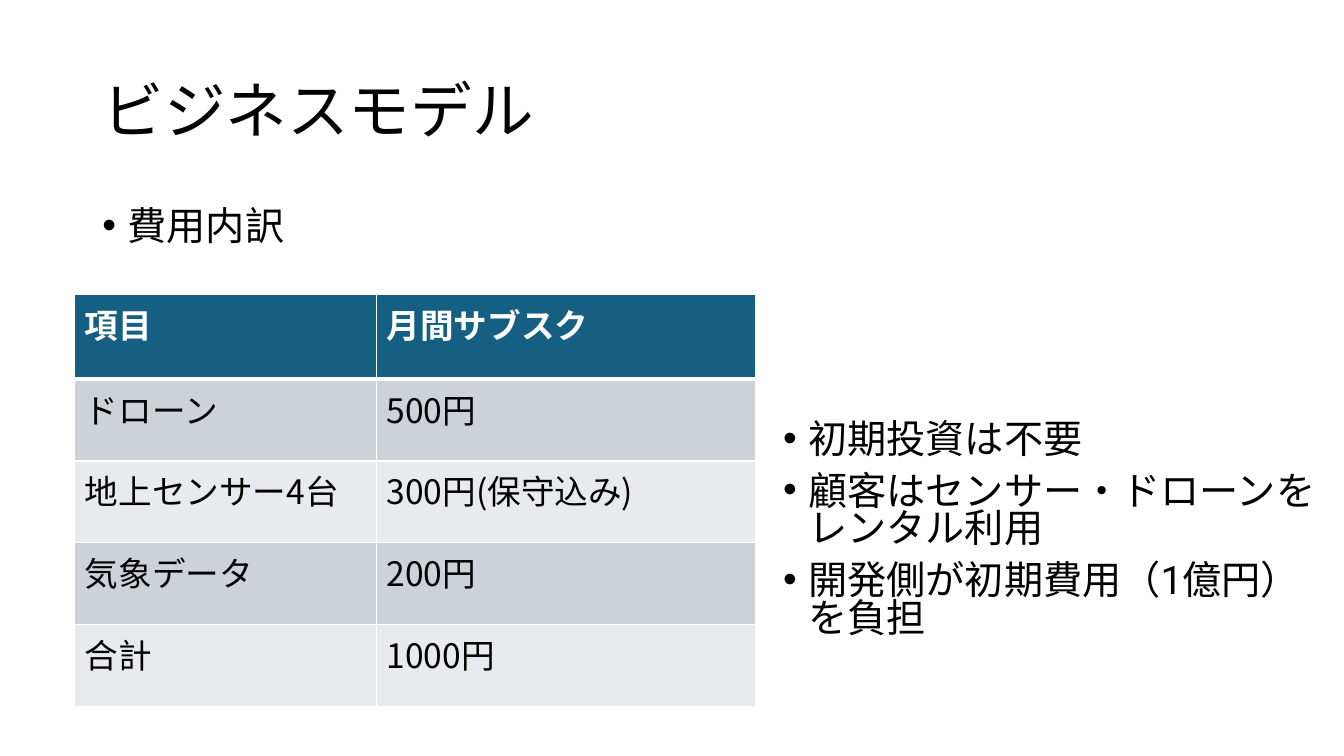
from dataclasses import dataclass

from lxml import etree
from pptx import Presentation
from pptx.dml import color
from pptx.enum import text
from pptx.oxml import ns
from pptx.util import Pt


@dataclass(frozen=True)
class Theme:
    body_font: str = "Roboto"
    table_font: str = "Noto Sans CJK JP"
    ink: str = "000000"
    white: str = "FFFFFF"
    header: str = "156082"
    bands: tuple = ("CCD2D8", "E8EAED")
    title_size: int = 44
    list_size: int = 28
    table_size: int = 24


THEME = Theme()
COST_ROWS = [
    ("項目", "月間サブスク"),
    ("ドローン", "500円"),
    ("地上センサー4台", "300円(保守込み)"),
    ("気象データ", "200円"),
    ("合計", "1000円"),
]
BENEFITS = [
    "初期投資は不要",
    "顧客はセンサー・ドローンをレンタル利用",
    "開発側が初期費用（1億円）を負担",
]


def rgb(value):
    return color.RGBColor.from_string(value)


def add_span(para, words, font, size, ink, bold=False):
    span = para.add_run()
    span.text = words
    span.font.name = font
    span.font.size = Pt(size)
    span.font.bold = bold
    span.font.color.rgb = rgb(ink)
    # East Asian glyphs use the CJK face
    east_asian = etree.SubElement(span.font._element, ns.qn("a:ea"))
    east_asian.set("typeface", THEME.table_font)


def place(box, left, top, width, height, anchor):
    box.left, box.top, box.width, box.height = map(Pt, (left, top, width, height))
    frame = box.text_frame
    frame.auto_size = text.MSO_AUTO_SIZE.NONE
    frame.word_wrap = True
    frame.vertical_anchor = anchor
    return frame


def fill_title(box, words, bounds):
    frame = place(box, *bounds, text.MSO_ANCHOR.MIDDLE)
    para = frame.paragraphs[0]
    para.alignment = text.PP_ALIGN.LEFT
    para.line_spacing = 0.9
    add_span(para, words, THEME.body_font, THEME.title_size, THEME.ink)


def set_bullet(para):
    props = para._p.get_or_add_pPr()
    props.set("marL", str(Pt(18)))
    props.set("indent", str(-Pt(18)))
    etree.SubElement(props, ns.qn("a:buFont")).set("typeface", "Arial")
    etree.SubElement(props, ns.qn("a:buChar")).set("char", "•")


def fill_list(box, items, bounds, line_spacing):
    frame = place(box, *bounds, text.MSO_ANCHOR.TOP)
    for index, item in enumerate(items):
        para = frame.add_paragraph() if index else frame.paragraphs[0]
        para.line_spacing = line_spacing
        para.space_before = Pt(10)
        para.space_after = Pt(0)
        set_bullet(para)
        add_span(para, item, THEME.body_font, THEME.list_size, THEME.ink)


def set_borders(cell, top, bottom):
    props = cell._tc.get_or_add_tcPr()
    widths = {"lnL": 1, "lnR": 1, "lnT": top, "lnB": bottom}
    for index, (side, width) in enumerate(widths.items()):
        line = etree.Element(ns.qn(f"a:{side}"), w=str(Pt(width)))
        fill = etree.SubElement(line, ns.qn("a:solidFill"))
        etree.SubElement(fill, ns.qn("a:srgbClr")).set("val", THEME.white)
        props.insert(index, line)


def add_cost_table(page, rows, left, top, column_widths, row_heights):
    table = page.shapes.add_table(
        len(rows), len(column_widths), Pt(left), Pt(top),
        Pt(sum(column_widths)), Pt(sum(row_heights))).table
    for column, width in zip(table.columns, column_widths):
        column.width = Pt(width)
    for r, (values, height) in enumerate(zip(rows, row_heights)):
        table.rows[r].height = Pt(height)
        is_header = r == 0
        for c, value in enumerate(values):
            cell = table.cell(r, c)
            cell.fill.solid()
            cell.fill.fore_color.rgb = rgb(
                THEME.header if is_header else THEME.bands[(r - 1) % 2])
            # A heavier rule separates the header from the rows
            set_borders(cell, 3 if r == 1 else 1, 3 if is_header else 1)
            add_span(cell.text_frame.paragraphs[0], value, THEME.table_font,
                     THEME.table_size, THEME.white if is_header else THEME.ink,
                     is_header)


def main():
    deck = Presentation()
    deck.slide_width, deck.slide_height = Pt(960), Pt(540)
    page = deck.slides.add_slide(deck.slide_layouts.get_by_name("Two Content"))
    title, costs, benefits = list(page.placeholders)[:3]

    # Title and lists
    fill_title(title, "ビジネスモデル", (66, 28.75, 828, 104.4))
    fill_list(costs, ["費用内訳"], (66, 143.75, 288, 56), 0.9)
    fill_list(benefits, BENEFITS, (552.2, 298.8, 396.7, 172), 0.8)

    # Cost breakdown
    add_cost_table(page, COST_ROWS, 53.5, 210.4, [215.5, 270.5],
                   [60.4] + [58.5] * (len(COST_ROWS) - 1))

    # Unused date, footer and number placeholders
    for box in list(page.placeholders):
        if not box.text_frame.text:
            box._element.getparent().remove(box._element)

    deck.save("out.pptx")


if __name__ == "__main__":
    main()
